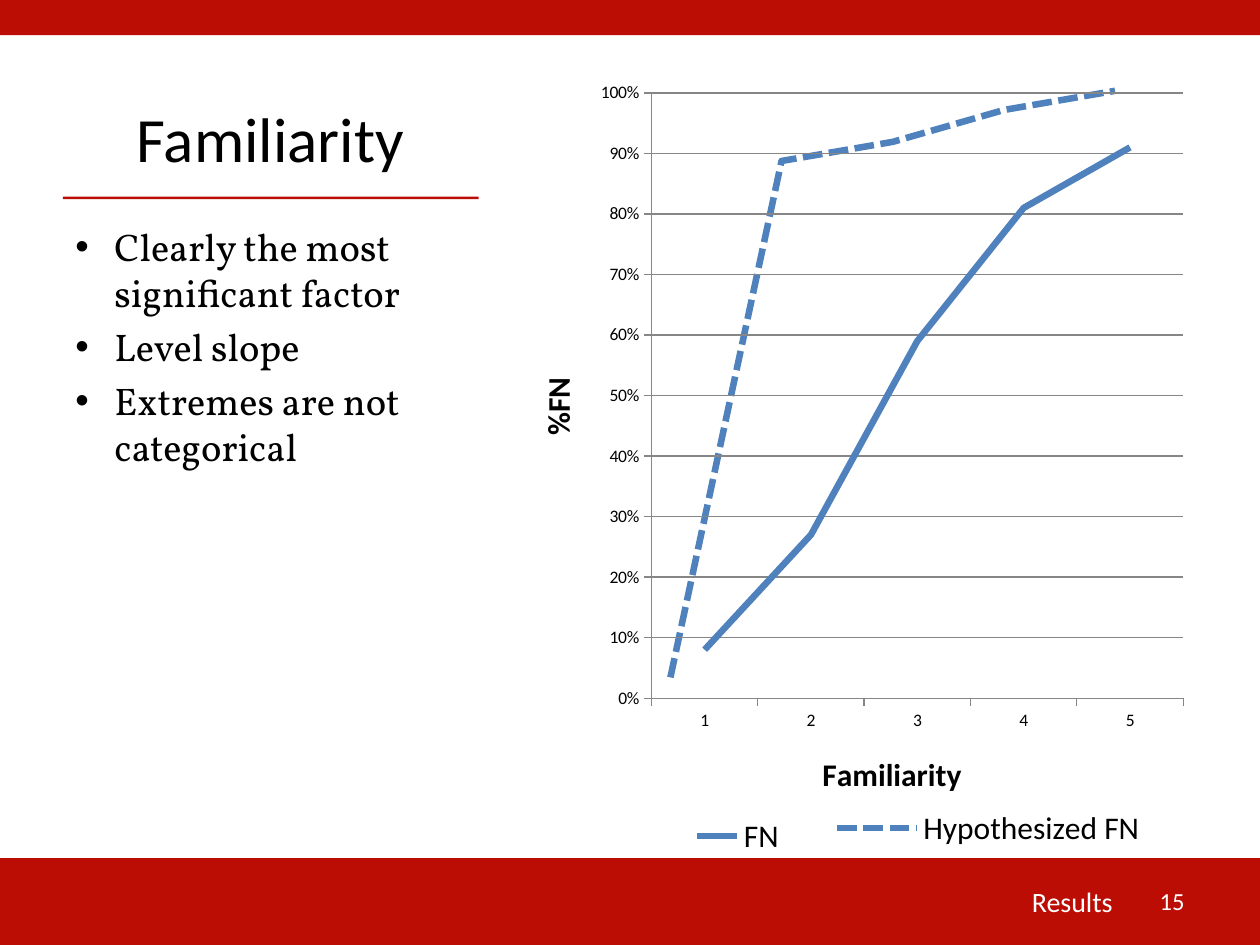
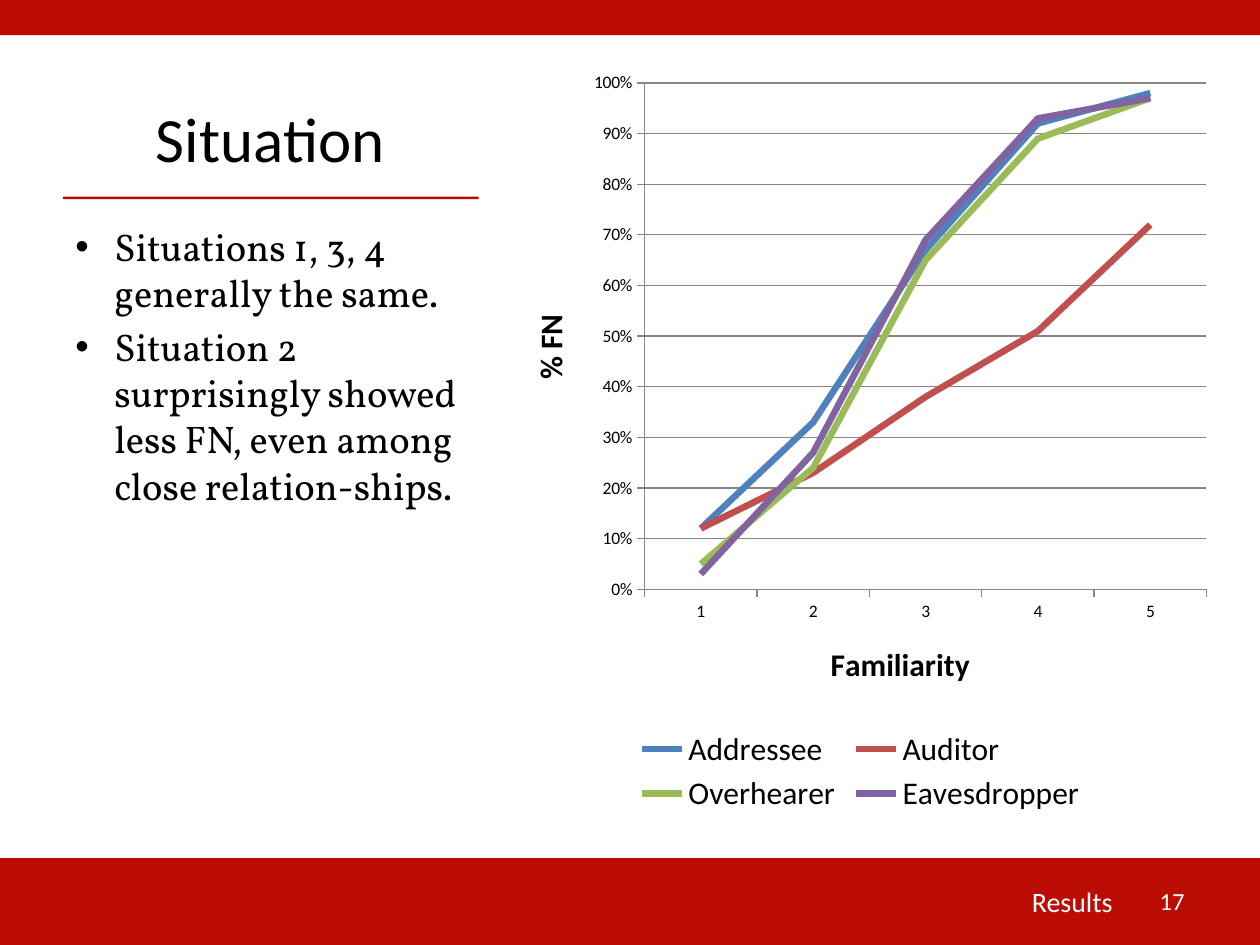
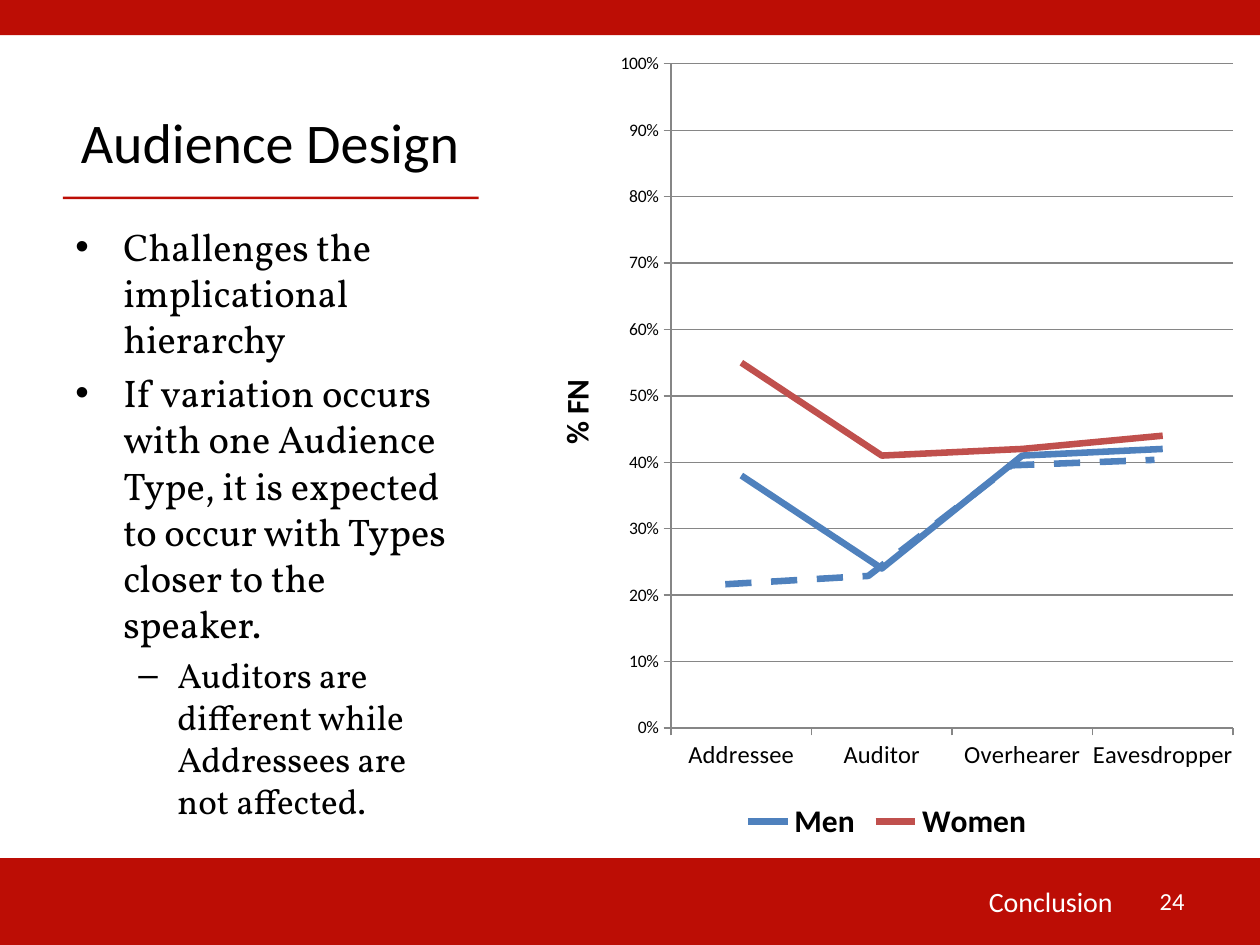
from lxml import etree
from pptx import Presentation
from pptx.chart.data import CategoryChartData
from pptx.dml.color import RGBColor
from pptx.enum.chart import XL_CHART_TYPE, XL_LEGEND_POSITION, XL_TICK_MARK
from pptx.enum.dml import MSO_LINE
from pptx.enum.shapes import MSO_SHAPE
from pptx.enum.text import MSO_ANCHOR, PP_ALIGN
from pptx.oxml import parse_xml
from pptx.oxml.ns import nsdecls, qn
from pptx.util import Inches, Pt

LINE = XL_CHART_TYPE.LINE
BOTTOM = XL_LEGEND_POSITION.BOTTOM
OUTSIDE, NO_TICK = XL_TICK_MARK.OUTSIDE, XL_TICK_MARK.NONE
SHORT_DASH, LONG_DASH = MSO_LINE.SQUARE_DOT, MSO_LINE.DASH
RECTANGLE = MSO_SHAPE.RECTANGLE
CENTER, RIGHT = PP_ALIGN.CENTER, PP_ALIGN.RIGHT
ANCHOR_BOTTOM, ANCHOR_MIDDLE = MSO_ANCHOR.BOTTOM, MSO_ANCHOR.MIDDLE

RED = RGBColor(0xBC, 0x0D, 0x05)
BLACK = RGBColor(0, 0, 0)
WHITE = RGBColor(255, 255, 255)
GRID_GRAY = RGBColor(0x86, 0x86, 0x86)
SERIES_COLORS = [RGBColor(0x4F, 0x81, 0xBD), RGBColor(0xC0, 0x50, 0x4D),
                 RGBColor(0x9B, 0xBB, 0x59), RGBColor(0x80, 0x64, 0xA2)]
HEADING_FONT, BODY_FONT = "Calibri", "Vollkorn"

MARGIN, COLUMN = 0.5, 3.29
BANDS = [(0, 6.81, 10, 0.69), (0, 0, 10, 0.28), (MARGIN, 1.56, 3.3, 0.02)]
BULLETS = [("•", 22), ("–", 20)]
FAMILIARITY = ["1", "2", "3", "4", "5"]
AUDIENCE = ["Addressee", "Auditor", "Overhearer", "Eavesdropper"]

SLIDES = [
    dict(title="Familiarity", title_top=0.3, title_size=36, section="Results", number="15",
         indents=[(0.31, 0.31)],
         points=[(0, "Clearly the most significant factor"),
                 (0, "Level slope"),
                 (0, "Extremes are not categorical")],
         charts=[
             dict(at=(4.34, 0.54, 5.29, 6.48), categories=FAMILIARITY, top=100, dash=SHORT_DASH,
                  plot=(0.102, 0.028, 0.834, 0.781), legend=(0.42, 0.9),
                  series={"Hypothesized FN": [8, 89, 92, 97, 100]}),
             dict(at=(4.03, 0.53, 5.47, 6.49), categories=FAMILIARITY,
                  titles=("Familiarity", "%FN"), legend=(0.26, 0.91),
                  series={"FN": [0.08, 0.27, 0.59, 0.81, 0.91]})]),
    dict(title="Situation", title_top=0.3, title_size=36, section="Results", number="17",
         indents=[(0.31, 0.31)],
         points=[(0, "Situations 1, 3, 4 generally the same."),
                 (0, "Situation 2 surprisingly showed less FN, even among close relation-ships.")],
         charts=[
             dict(at=(3.97, 0.46, 5.72, 6.04), categories=FAMILIARITY, top=1,
                  titles=("Familiarity", "% FN"), legend=(),
                  series={"Addressee": [0.12, 0.33, 0.67, 0.92, 0.98],
                          "Auditor": [0.12, 0.23, 0.38, 0.51, 0.72],
                          "Overhearer": [0.05, 0.24, 0.65, 0.89, 0.97],
                          "Eavesdropper": [0.03, 0.27, 0.69, 0.93, 0.97]})]),
    dict(title="Audience Design", title_top=0.45, title_size=32, section="Conclusion", number="24",
         indents=[(0.38, 0.38), (0.81, 0.31)],
         points=[(0, "Challenges the implicational hierarchy"),
                 (0, "If variation occurs with one Audience Type, it is expected to occur "
                     "with Types closer to the speaker."),
                 (1, "Auditors are different while Addressees are not affected.")],
         charts=[
             dict(at=(4.18, 0.3, 5.72, 6.42), categories=AUDIENCE, top=1,
                  titles=(None, "% FN"), legend=(), legend_bold=True, category_size=14,
                  series={"Men": [0.38, 0.24, 0.41, 0.42],
                          "Women": [0.55, 0.41, 0.42, 0.44]}),
             dict(at=(4.21, 0.2, 6.75, 6.61), categories=["1", "2", "3", "4"], top=241,
                  dash=LONG_DASH, plot=(0.145, 0.054, 0.673, 0.8),
                  series={"Series 1": [55, 58, 98, 100]})]),
]


def style_font(font, size, color=BLACK, name=HEADING_FONT, bold=False):
    font.size, font.name, font.bold = Pt(size), name, bold
    font.color.rgb = color


def manual_layout(shares, inner=False):
    target = '<c:layoutTarget val="inner"/>' if inner else ""
    modes = '<c:xMode val="edge"/><c:yMode val="edge"/>'
    sizes = "".join(f'<c:{side} val="{share}"/>' for side, share in zip("xywh", shares))
    return parse_xml(f'<c:layout {nsdecls("c")}><c:manualLayout>{target}{modes}{sizes}'
                     '</c:manualLayout></c:layout>')


prs = Presentation()
prs.slide_width, prs.slide_height = Inches(10), Inches(7.5)

for content in SLIDES:
    slide = prs.slides.add_slide(prs.slide_layouts[5])
    for bounds in BANDS:
        band = slide.shapes.add_shape(RECTANGLE, *map(Inches, bounds))
        band.shadow.inherit = False
        band.fill.solid()
        band.fill.fore_color.rgb = RED
        band.line.fill.background()

    title = slide.shapes.title
    title.left, title.top = Inches(MARGIN), Inches(content["title_top"])
    title.width, title.height = Inches(COLUMN), Inches(1.44 - content["title_top"])
    title.text_frame.text = content["title"]
    title.text_frame.vertical_anchor = ANCHOR_BOTTOM
    title.text_frame.paragraphs[0].alignment = CENTER
    style_font(title.text_frame.paragraphs[0].font, content["title_size"])

    body = slide.shapes.add_textbox(*map(Inches, (MARGIN, 1.72, COLUMN, 4.98))).text_frame
    body.word_wrap = True
    for index, (level, text) in enumerate(content["points"]):
        point = body.add_paragraph() if index else body.paragraphs[0]
        point.text, point.level = text, level
        bullet, size = BULLETS[level]
        left, hanging = content["indents"][level]
        point.space_before = Pt(size * 0.2)
        properties = point._p.get_or_add_pPr()
        properties.set("marL", str(Inches(left)))
        properties.set("indent", str(-Inches(hanging)))
        etree.SubElement(properties, qn("a:buFont")).set("typeface", "Arial")
        etree.SubElement(properties, qn("a:buChar")).set("char", bullet)
        style_font(point.font, size, name=BODY_FONT)

    for text, left, width, size in [(content["section"], 5.76, 3.17, 16),
                                    (content["number"], 8.97, 0.53, 14)]:
        footer = slide.shapes.add_textbox(*map(Inches, (left, 6.95, width, 0.4))).text_frame
        footer.word_wrap = True
        footer.vertical_anchor = ANCHOR_MIDDLE
        footer.text = text
        footer.paragraphs[0].alignment = RIGHT
        style_font(footer.paragraphs[0].font, size, WHITE)

    for plan in content["charts"]:
        data = CategoryChartData(number_format="0%")
        data.categories = plan["categories"]
        for name, values in plan["series"].items():
            data.add_series(name, values)
        chart = slide.shapes.add_chart(LINE, *map(Inches, plan["at"]), data).chart
        chart.has_title = False
        style_font(chart.font, 10)

        for series, color in zip(chart.plots[0].series, SERIES_COLORS):
            series.smooth = False
            series.format.line.color.rgb = color
            series.format.line.width = Pt(3.75)
            if "dash" in plan:
                series.format.line.dash_style = plan["dash"]
        chart.plots[0].vary_by_categories = False

        category_axis, value_axis = chart.category_axis, chart.value_axis
        value_axis.minimum_scale = 0
        if "top" in plan:
            value_axis.maximum_scale = plan["top"]
        value_axis.tick_labels.number_format = "0%"
        value_axis.tick_labels.number_format_is_linked = False
        shown = "titles" in plan
        value_axis.has_major_gridlines = shown
        for axis, caption in zip((category_axis, value_axis), plan.get("titles", (None, None))):
            axis.visible = shown
            axis.major_tick_mark, axis.minor_tick_mark = OUTSIDE, NO_TICK
            axis.format.line.color.rgb = GRID_GRAY
            if caption:
                axis.axis_title.text_frame.text = caption
                style_font(axis.axis_title.text_frame.paragraphs[0].font, 18, bold=True)
        if shown:
            value_axis.major_gridlines.format.line.color.rgb = GRID_GRAY
        if "category_size" in plan:
            style_font(category_axis.tick_labels.font, plan["category_size"])

        chart.has_legend = "legend" in plan
        if chart.has_legend:
            chart.legend.position = BOTTOM
            chart.legend.include_in_layout = False
            style_font(chart.legend.font, 18, bold=plan.get("legend_bold", False))
            if plan["legend"]:
                legend = chart.legend._element
                for automatic in legend.findall(qn("c:layout")):
                    legend.remove(automatic)
                legend.find(qn("c:legendPos")).addnext(manual_layout(plan["legend"]))

        clear = f'<c:spPr {nsdecls("c", "a")}><a:noFill/><a:ln><a:noFill/></a:ln></c:spPr>'
        space = chart._chartSpace
        space.find(qn("c:txPr")).addprevious(parse_xml(clear))
        plot_area = space.find(qn("c:chart")).find(qn("c:plotArea"))
        plot_area.append(parse_xml(clear))
        if "plot" in plan:
            for automatic in plot_area.findall(qn("c:layout")):
                plot_area.remove(automatic)
            plot_area.insert(0, manual_layout(plan["plot"], inner=True))

prs.save("out.pptx")
